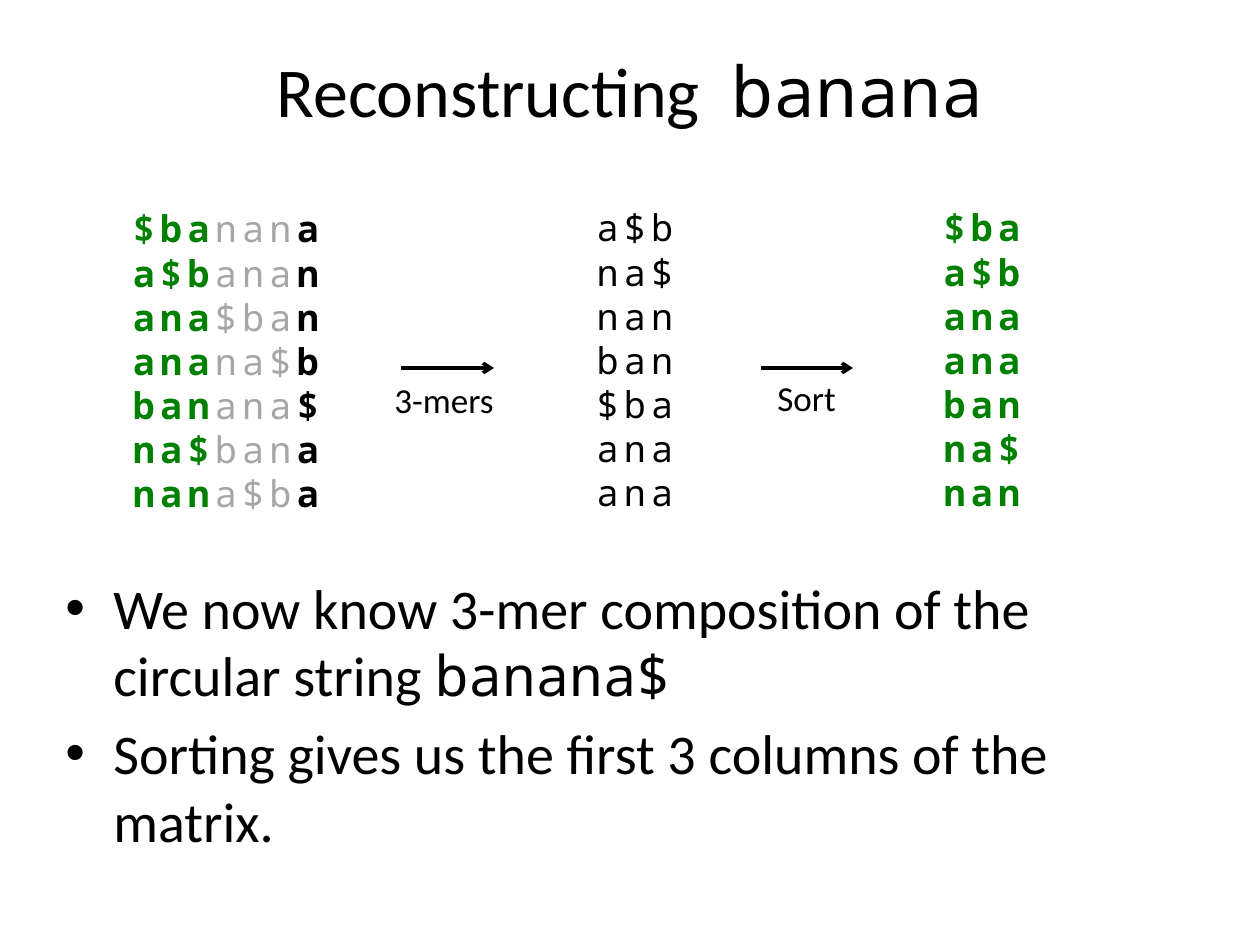
import pptx
import pptx.util
import pptx.dml.color
import pptx.enum.shapes
import pptx.enum.text
import pptx.oxml.ns
import lxml.etree

PX = 914400 / 126
BODY_FONT, MONO_FONT = "Calibri", "Noto Sans Mono"
BLACK, GREEN, GREY = "000000", "008000", "A6A6A6"
CENTER = pptx.enum.text.PP_ALIGN.CENTER
LEFT = pptx.enum.text.PP_ALIGN.LEFT


def px(*values):
    return [pptx.util.Emu(round(value * PX)) for value in values]


def add_text(place, paragraphs, size, align, wrap=True, spacing=0):
    box = page.shapes.add_textbox(*px(*place))
    frame = box.text_frame
    frame.word_wrap = wrap
    for index, runs in enumerate(paragraphs):
        para = frame.paragraphs[0] if index == 0 else frame.add_paragraph()
        para.alignment = align
        para.font.size = pptx.util.Pt(size)
        for text, font, color, bold in runs:
            span = para.add_run()
            span.text = text
            span.font.name = font
            span.font.size = pptx.util.Pt(size)
            span.font.bold = bold
            span.font.color.rgb = pptx.dml.color.RGBColor.from_string(color)
            if spacing:
                span.font._element.set("spc", str(spacing * 100))
                para.line_spacing = pptx.util.Pt(25.2)
    return frame


deck = pptx.Presentation()
deck.slide_width, deck.slide_height = px(1260, 945)
page = deck.slides.add_slide(deck.slide_layouts[6])

title = add_text(
    (63, 10, 1134, 158),
    [[("Reconstructing  ", BODY_FONT, BLACK, False), ("banana", MONO_FONT, BLACK, False)]],
    40, CENTER,
)
title.vertical_anchor = pptx.enum.text.MSO_ANCHOR.MIDDLE

rotations = ["$banana", "a$banan", "ana$ban", "anana$b", "banana$", "na$bana", "nana$ba"]
matrix = [
    [
        (row[:3], MONO_FONT, GREEN, True),
        (row[3:6], MONO_FONT, GREY, False),
        (row[6], MONO_FONT, BLACK, True),
    ]
    for row in rotations
]
mers = ["a$b", "na$", "nan", "ban", "$ba", "ana", "ana"]
unsorted_mers = [[(mer, MONO_FONT, BLACK, False)] for mer in mers]
sorted_mers = [[(mer, MONO_FONT, GREEN, True)] for mer in sorted(mers)]
for left, top, rows in [(105, 200, matrix), (514, 199, unsorted_mers), (861, 199, sorted_mers)]:
    add_text((left, top, 242, 324), rows, 21, CENTER, spacing=3)

for start, end, label, place in [
    (401, 494, "3-mers", (382, 372, 126, 55)),
    (761, 853, "Sort", (765, 370, 84, 55)),
]:
    arrow = page.shapes.add_connector(
        pptx.enum.shapes.MSO_CONNECTOR.STRAIGHT, *px(start, 368, end, 368)
    )
    arrow.line.width = pptx.util.Pt(2)
    arrow.line.color.rgb = pptx.dml.color.RGBColor.from_string(BLACK)
    outline = arrow.line._get_or_add_ln()
    lxml.etree.SubElement(outline, pptx.oxml.ns.qn("a:tailEnd"), type="arrow")
    lxml.etree.SubElement(arrow._element.spPr, pptx.oxml.ns.qn("a:effectLst"))
    add_text(place, [[(label, BODY_FONT, BLACK, False)]], 20, LEFT, wrap=False)

summary = add_text(
    (53, 567, 1134, 336),
    [
        [
            ("We now know 3-mer composition of the circular string ", BODY_FONT, BLACK, False),
            ("banana$", MONO_FONT, BLACK, False),
        ],
        [("Sorting gives us the first 3 columns of the matrix.", BODY_FONT, BLACK, False)],
    ],
    32, LEFT,
)
summary.paragraphs[1].space_before = pptx.util.Pt(6.4)
indent = px(48)[0]
for para in summary.paragraphs:
    properties = para._p.get_or_add_pPr()
    properties.set("marL", str(indent))
    properties.set("indent", str(-indent))
    bullet_font = lxml.etree.Element(pptx.oxml.ns.qn("a:buFont"), typeface="Arial")
    bullet = lxml.etree.Element(pptx.oxml.ns.qn("a:buChar"), char="•")
    defaults = properties.find(pptx.oxml.ns.qn("a:defRPr"))
    defaults.addprevious(bullet_font)
    defaults.addprevious(bullet)

deck.save("out.pptx")
